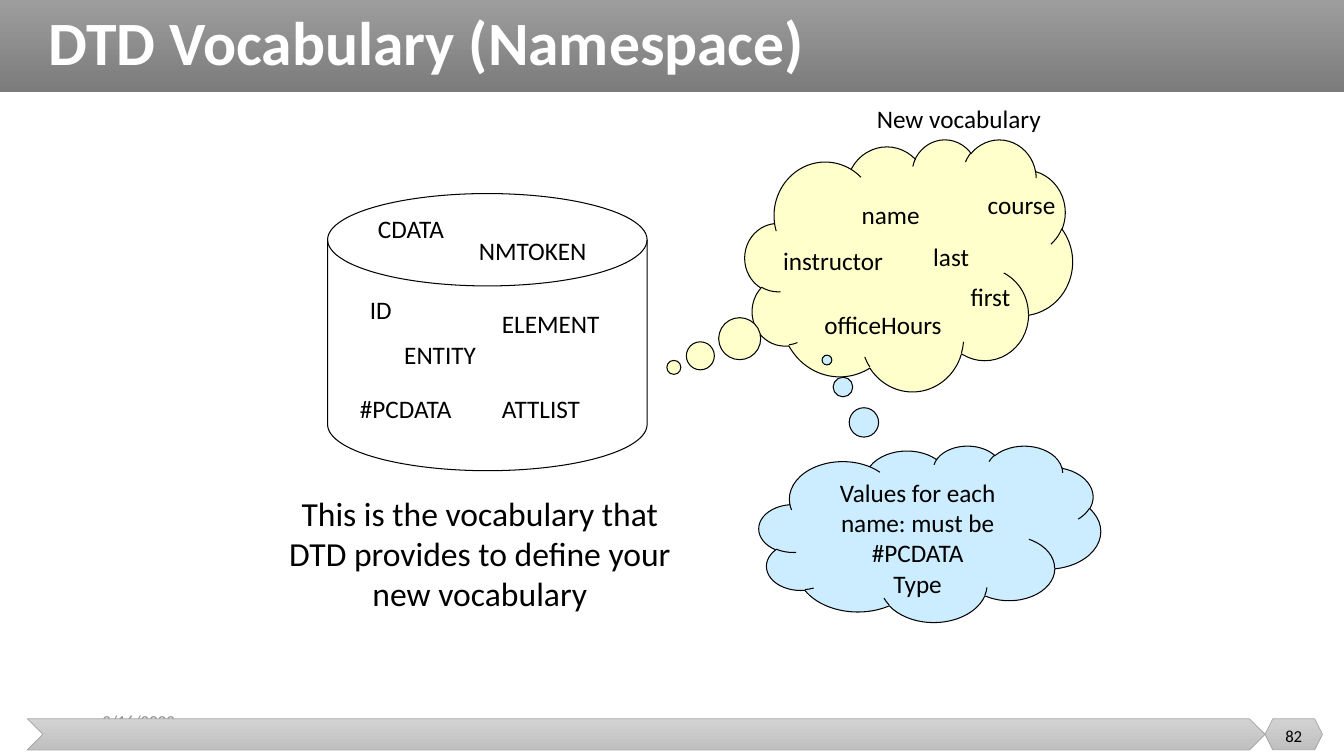
from pptx import Presentation
from pptx.dml.color import RGBColor
from pptx.enum.shapes import MSO_SHAPE as Geometry
from pptx.enum.text import MSO_ANCHOR as Anchor, MSO_AUTO_SIZE as AutoSize, PP_ALIGN as Align
from pptx.util import Inches, Pt

SLIDE_WIDTH, SLIDE_HEIGHT = Inches(13.33), Inches(7.5)
COLUMNS, ROWS = 160, 90

BLACK = RGBColor(0x00, 0x00, 0x00)
WHITE = RGBColor(0xFF, 0xFF, 0xFF)
DATE_GRAY = RGBColor(0x8C, 0x8C, 0x8C)
BAND_EDGE = RGBColor(0xA5, 0xA5, 0xA5)
HEADER_SHADES = RGBColor(0x9D, 0x9D, 0x9D), RGBColor(0x7C, 0x7C, 0x7C)
FOOTER_SHADES = RGBColor(0xD2, 0xD2, 0xD2), RGBColor(0xC0, 0xC0, 0xC0)
YELLOW = RGBColor(0xFF, 0xFF, 0xCC)
BLUE = RGBColor(0xCC, 0xEC, 0xFF)

NO_MARGINS = dict.fromkeys(("margin_left", "margin_top", "margin_right", "margin_bottom"), 0)
DTD_LABEL = {"word_wrap": False, "vertical_anchor": Anchor.MIDDLE,
             "auto_size": AutoSize.SHAPE_TO_FIT_TEXT, **NO_MARGINS}
NAME_LABEL = {"word_wrap": False, "auto_size": AutoSize.SHAPE_TO_FIT_TEXT}
MIDDLE = {"word_wrap": True, "vertical_anchor": Anchor.MIDDLE}

# Word, column, row, columns wide
DTD_WORDS = [
    ("ELEMENT", 59.76, 36.72, 12.36),
    ("ATTLIST", 59.76, 46.8, 10.08),
    ("#PCDATA", 42.84, 46.8, 11.76),
    ("CDATA", 45, 25.44, 8.64),
    ("ENTITY", 48.12, 40.44, 9.24),
    ("ID", 44.04, 35.04, 3.36),
    ("NMTOKEN", 57, 27.96, 13.68),
]
NEW_WORDS = [
    ("instructor", 92.04, 28.56, 14.4),
    ("name", 101.4, 23.16, 9.36),
    ("first", 114.36, 32.88, 7.2),
    ("last", 109.92, 28.08, 6.72),
    ("course", 116.4, 21.96, 10.56),
    ("officeHours", 96.96, 36.24, 16.56),
    ("New vocabulary", 103.2, 11.76, 22.2),
]


def grid(column, row, width, height):
    """Turn grid cells into slide lengths."""
    return (int(SLIDE_WIDTH * column / COLUMNS), int(SLIDE_HEIGHT * row / ROWS),
            int(SLIDE_WIDTH * width / COLUMNS), int(SLIDE_HEIGHT * height / ROWS))


def write(frame, text, frame_format, size=18, color=BLACK, align=Align.LEFT, bold=False):
    frame.text = text
    for attribute, value in frame_format.items():
        setattr(frame, attribute, value)
    font_format = {"name": "Calibri", "size": Pt(size), "bold": bold}
    for paragraph in frame.paragraphs:
        paragraph.alignment = align
        for attribute, value in font_format.items():
            setattr(paragraph.font, attribute, value)
        paragraph.font.color.rgb = color


def add_label(shapes, text, cells, frame_format, **text_format):
    label = shapes.add_textbox(*grid(*cells))
    write(label.text_frame, text, frame_format, **text_format)


def add_outlined(shapes, geometry, cells, color, tail=()):
    """Add a filled, thin-lined shape; tail gives a callout's pointer."""
    outlined = shapes.add_shape(geometry, *grid(*cells))
    outlined.shadow.inherit = False
    outlined.fill.solid()
    outlined.fill.fore_color.rgb = color
    outlined.line.color.rgb = BLACK
    outlined.line.width = Pt(0.75)
    for index, share in enumerate(tail):
        outlined.adjustments[index] = share
    return outlined


def add_band(shapes, geometry, cells, shades, edge=None):
    """Add a part of the frame, shaded from top to bottom."""
    band = shapes.add_shape(geometry, *grid(*cells))
    band.shadow.inherit = False
    band.fill.gradient()
    band.fill.gradient_angle = 270
    for stop, shade in zip(band.fill.gradient_stops, shades):
        stop.color.rgb = shade
    if edge is None:
        band.line.fill.background()
    else:
        band.line.color.rgb = edge
        band.line.width = Pt(0.5)
    return band


def add_title(slide, text):
    title = slide.shapes.title
    title.left, title.top, title.width, title.height = grid(4.56, 0, 152.88, 10.92)
    write(title.text_frame, text, {**MIDDLE, "auto_size": AutoSize.NONE},
          size=44, color=WHITE, bold=True)
    title.text_frame.paragraphs[0].line_spacing = 0.9
    header = add_band(slide.shapes, Geometry.RECTANGLE, (0, 0, COLUMNS, 10.92), HEADER_SHADES)
    title._element.addprevious(header._element)


def add_footer(shapes, date, number):
    add_label(shapes, date, (11, 83.4, 36, 4.8), MIDDLE, size=12, color=DATE_GRAY)
    add_band(shapes, Geometry.CHEVRON, (3.24, 85.56, 147.36, 3.72), FOOTER_SHADES, BAND_EDGE)
    add_band(shapes, Geometry.HEXAGON, (150.6, 85.56, 6.84, 3.72), FOOTER_SHADES, BAND_EDGE)
    add_label(shapes, number, (150.6, 85.2, 6.84, 4.8), MIDDLE, size=12, align=Align.CENTER)


def add_dtd_vocabulary(shapes):
    add_outlined(shapes, Geometry.FLOWCHART_MAGNETIC_DISK, (39, 23.04, 38.04, 33), WHITE)
    for word, column, row, width in DTD_WORDS:
        add_label(shapes, word, (column, row, width, 3.6), DTD_LABEL)
    add_label(shapes, "This is the vocabulary that DTD provides to define your new vocabulary",
              (32.28, 57.96, 49.68, 15.72), MIDDLE, size=24, align=Align.CENTER)


def add_new_vocabulary(shapes):
    members = shapes.add_group_shape().shapes
    add_outlined(members, Geometry.CLOUD_CALLOUT, (88.68, 16.56, 39, 30), YELLOW, (-0.717, 0.406))
    for word, column, row, width in NEW_WORDS:
        add_label(members, word, (column, row, width, 4.8), NAME_LABEL)


def add_values_note(shapes):
    note = add_outlined(shapes, Geometry.CLOUD_CALLOUT, (90.36, 53.04, 40.68, 21),
                        BLUE, (-0.301, -0.985))
    write(note.text_frame, "Values for each name: must be\n#PCDATA\nType",
          {"word_wrap": True, "vertical_anchor": Anchor.TOP}, align=Align.CENTER)


def main():
    presentation = Presentation()
    presentation.slide_width, presentation.slide_height = SLIDE_WIDTH, SLIDE_HEIGHT
    slide = presentation.slides.add_slide(presentation.slide_layouts[5])
    add_title(slide, "DTD Vocabulary (Namespace)")
    add_footer(slide.shapes, "3/16/2023", "82")
    add_dtd_vocabulary(slide.shapes)
    add_new_vocabulary(slide.shapes)
    add_values_note(slide.shapes)
    presentation.save("out.pptx")


if __name__ == "__main__":
    main()
